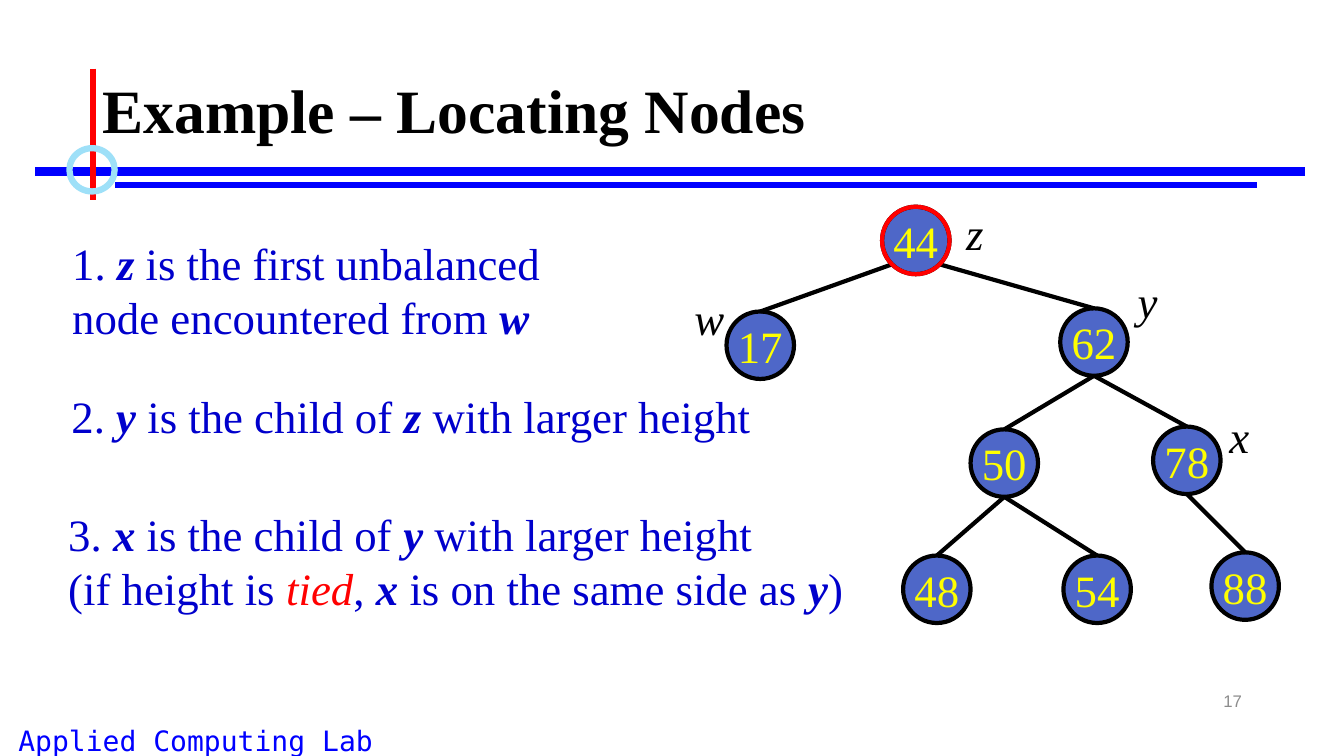
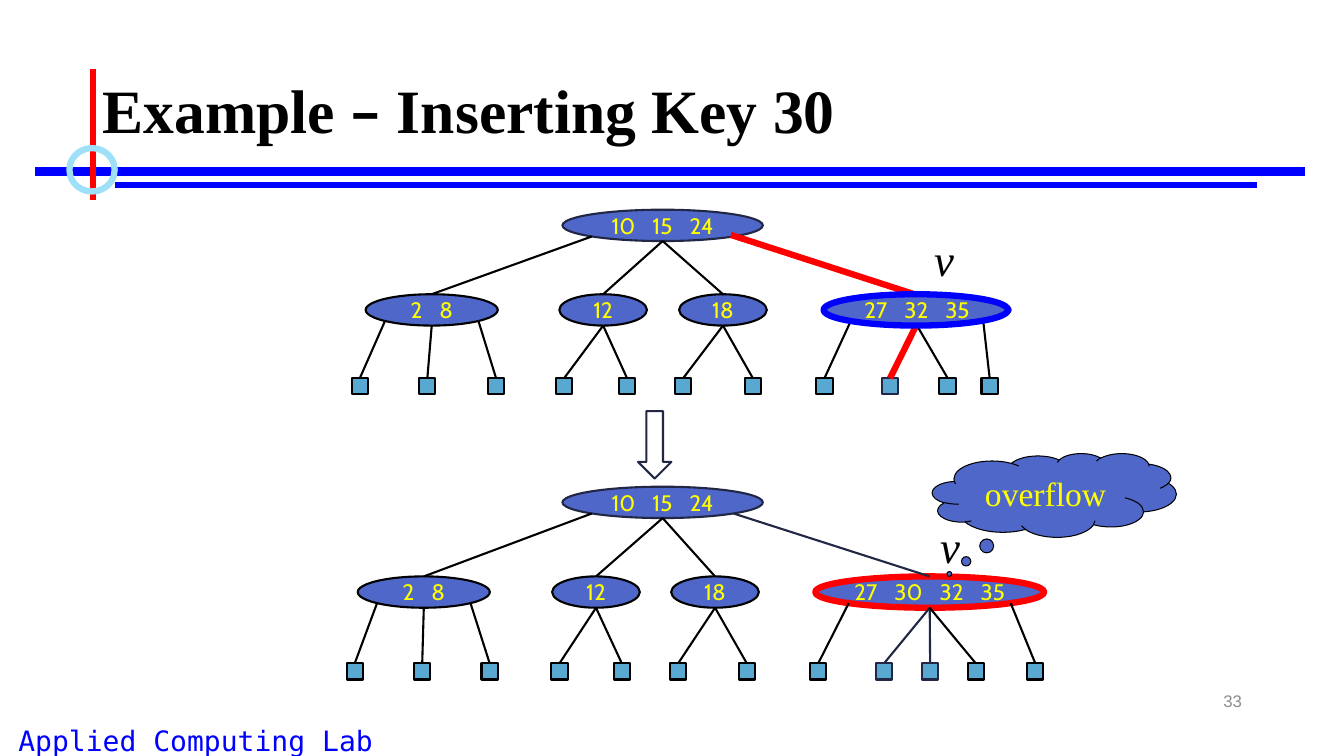
"""Build two slides on balanced search trees: locating nodes and inserting a key."""
import lxml.etree
import pptx
import pptx.dml.color
import pptx.enum.shapes
import pptx.enum.text
import pptx.oxml.ns
import pptx.util

Cm = pptx.util.Cm
color = pptx.dml.color.RGBColor.from_string
SHAPE = pptx.enum.shapes.MSO_SHAPE
ALIGN = pptx.enum.text.PP_ALIGN
MIDDLE = pptx.enum.text.MSO_ANCHOR.MIDDLE
SERIF = "Times New Roman"
BLACK, RED, BLUE, YELLOW = "000000", "FF0000", "0000FF", "FFFF00"
NODE_BLUE, LEAF_BLUE, NAVY, RULE_BLUE = "4E67C8", "59A8D1", "212745", "0000CC"


def draw(shapes, kind, x, y, width, height, fill=None, outline=None, weight=1.5,
         pieces=(), size=32, font=SERIF, ink=YELLOW, italic=False, align=ALIGN.CENTER):
    """Draw a shape, or a text box when kind is None, centred on x and y in cm."""
    box = Cm(x - width / 2), Cm(y - height / 2), Cm(width), Cm(height)
    figure = shapes.add_textbox(*box) if kind is None else shapes.add_shape(kind, *box)
    if kind is not None:
        figure.shadow.inherit = False
    if fill:
        figure.fill.solid()
        figure.fill.fore_color.rgb = color(fill)
    else:
        figure.fill.background()
    if outline:
        figure.line.color.rgb = color(outline)
        figure.line.width = pptx.util.Pt(weight)
    else:
        figure.line.fill.background()
    frame = figure.text_frame
    frame.word_wrap = kind is None
    frame.vertical_anchor = MIDDLE
    if pieces:
        paragraph = frame.paragraphs[0]
        paragraph.alignment = align
        paragraph.font.name = font
        paragraph.font.size = pptx.util.Pt(size)
        paragraph.font.color.rgb = color(ink)
        paragraph.font.italic = italic
        for piece in pieces:
            run = paragraph.add_run()
            run.text = piece
            if piece == " ":
                run.font._element.set("spc", "860")
    return figure


def link(shapes, start, end, ink=BLACK, weight=1.5, target=None):
    """Draw a straight line between two points in cm, joined to the top of target."""
    line = shapes.add_connector(pptx.enum.shapes.MSO_CONNECTOR.STRAIGHT,
                                Cm(start[0]), Cm(start[1]), Cm(end[0]), Cm(end[1]))
    line.line.color.rgb = color(ink)
    line.line.width = pptx.util.Pt(weight)
    lxml.etree.SubElement(line.element.spPr, pptx.oxml.ns.qn("a:effectLst"))
    if target is not None:
        line.end_connect(target, 0)
    return line


deck = pptx.Presentation()
deck.slide_width, deck.slide_height = Cm(33.87), Cm(19.05)
layout = deck.slide_layouts[5]
layout_title, *unused = layout.placeholders
for placeholder in unused:
    placeholder.element.getparent().remove(placeholder.element)
layout_title.left, layout_title.top = Cm(2.33), Cm(1.01)
layout_title.width, layout_title.height = Cm(29.21), Cm(3.69)

slides = []
for heading, dash_font, number in (("Example – Locating Nodes", SERIF, "17"),
                                   ("Example – Inserting Key 30", "Cabin", "33")):
    slide = deck.slides.add_slide(layout)
    slides.append(slide)
    title_frame = slide.shapes.title.text_frame
    title_frame.vertical_anchor = MIDDLE
    title = title_frame.paragraphs[0]
    title.alignment = ALIGN.LEFT
    title.line_spacing = 0.9
    title.font.name = SERIF
    title.font.size = pptx.util.Pt(44)
    title.font.bold = True
    title.font.color.rgb = color(BLACK)
    for part in heading.partition("–"):
        run = title.add_run()
        run.text = part
        if part == "–":
            run.font.name = dash_font
    draw(slide.shapes, None, 27.74, 17.65, 7.62, 1.02, pieces=[number], size=12,
         font="Arial", ink="8C8C8C", align=ALIGN.RIGHT)

locating, inserting = (slide.shapes for slide in slides)

shared = [
    draw(locating, None, 4.93, 18.65, 9.86, 1.09, pieces=["Applied Computing Lab"],
         size=20, font="DejaVu Sans Mono", ink=BLUE),
    link(locating, (0.89, 4.32), (32.89, 4.32), BLUE, 6),
    link(locating, (2.9, 4.67), (31.67, 4.67), BLUE, 4.5),
    link(locating, (2.34, 1.73), (2.34, 5.05), RED, 4.5),
    draw(locating, SHAPE.OVAL, 2.32, 4.28, 1.14, 1.09, outline="9EE0F8", weight=4.5),
]
for part in shared:
    layout.shapes.element.append(part.element)

DIAMETER = 1.7
DIAGONAL = 0.3536
centers = {"44": (23.08, 6.06), "17": (19.16, 8.7), "62": (27.57, 8.62),
           "50": (25.31, 11.67), "78": (29.91, 11.6), "48": (23.61, 14.85),
           "54": (27.65, 14.85), "88": (31.38, 14.77)}
nodes = {key: draw(locating, SHAPE.OVAL, x, y, DIAMETER, DIAMETER, NODE_BLUE, BLACK, 3, [key])
         for key, (x, y) in centers.items()}
for parent, child, side in (("44", "17", -1), ("44", "62", 1), ("62", "50", 0), ("62", "78", 0),
                            ("50", "48", 0), ("50", "54", 0), ("78", "88", 0)):
    x, y = centers[parent]
    drop = DIAGONAL if side else 0.5
    child_x, child_y = centers[child]
    link(locating, (x + side * DIAGONAL * DIAMETER, y + drop * DIAMETER),
         (child_x, child_y - DIAMETER / 2), weight=3, target=nodes[child])
draw(locating, SHAPE.OVAL, *centers["44"], DIAMETER, DIAMETER, outline=RED, weight=3)
for letter, x, y in (("z", 24.61, 5.85), ("w", 17.76, 8.01), ("y", 28.93, 7.58), ("x", 31.24, 10.97)):
    draw(locating, None, x, y, 1.02, 1.6, pieces=[letter], ink=BLACK, italic=True, align=ALIGN.LEFT)

rules = (
    (7.96, 7.29, 12.78, 3, ["1. *z* is the first unbalanced", "node encountered from *w*"]),
    (10.54, 10.46, 17.98, 1.63, ["2. *y* is the child of *z* with larger height"]),
    (13.6, 14.12, 24.26, 3, ["3. *x* is the child of *y* with larger height",
                             "(if height is *tied*, *x* is on the same side as *y*)"]),
)
for x, y, width, height, lines in rules:
    frame = draw(locating, None, x, y, width, height).text_frame
    for index, text in enumerate(lines):
        paragraph = frame.add_paragraph() if index else frame.paragraphs[0]
        paragraph.font.name = SERIF
        paragraph.font.size = pptx.util.Pt(32)
        paragraph.font.color.rgb = color(RULE_BLUE)
        for position, part in enumerate(text.split("*")):
            if part:
                run = paragraph.add_run()
                run.text = part
                if position % 2:
                    run.font.italic = True
                    run.font.bold = part != "tied"
                if part == "tied":
                    run.font.color.rgb = color(RED)

ROOT_X, ROOT_WIDTH, NODE_HEIGHT, LEAF = 16.7, 5.05, 0.79, 0.41
trees = (
    (5.68, 7.81, 9.73, (
        ("2 8", 10.88, 3.33, BLACK, 1.5, (9.07, 10.77, 12.5), ()),
        ("12", 15.2, 2.21, BLACK, 1.5, (14.22, 15.8), ()),
        ("18", 18.22, 2.21, BLACK, 1.5, (17.22, 18.97), ()),
        ("27 32 35", 23.11, 4.72, NAVY, 1.5, (20.78, 22.43, 23.88, 24.94), (1,)))),
    (12.66, 14.92, 16.92, (
        ("2 8", 10.68, 3.33, BLACK, 1.5, (8.94, 10.64, 12.34), ()),
        ("12", 15.02, 2.21, BLACK, 1.5, (14.1, 15.67), ()),
        ("18", 18.02, 2.21, BLACK, 1.5, (17.09, 18.82), ()),
        ("27 30 32 35", 23.43, 5.77, RED, 4.5, (20.62, 22.28, 23.44, 24.59, 26.09), (1, 2)))),
)
for root_y, child_y, leaf_y, children in trees:
    tree = inserting.add_group_shape().shapes
    root = ("10 15 24", ROOT_X, ROOT_WIDTH, NAVY, 1.5, [child[1] for child in children], (3,))
    tops = {}
    for keys, x, width, outline, weight, *_ in (root, *children):
        y = root_y if keys == root[0] else child_y
        tops[x, y] = draw(tree, SHAPE.OVAL, x, y, width, NODE_HEIGHT, NODE_BLUE, outline, weight,
                          keys.replace(" ", "| |").split("|"), 16, "Cabin")
    for keys, x, width, outline, weight, leaves, navy in children:
        for index, leaf_x in enumerate(leaves):
            tops[leaf_x, leaf_y] = draw(tree, SHAPE.RECTANGLE, leaf_x, leaf_y, LEAF, LEAF,
                                        LEAF_BLUE, NAVY if index in navy else BLACK)
    for keys, x, width, outline, weight, branches, navy in (root, *children):
        y, next_y, next_height = ((root_y, child_y, NODE_HEIGHT) if keys == root[0]
                                  else (child_y, leaf_y, LEAF))
        last = len(branches) - 1
        for index, branch_x in enumerate(branches):
            side = (index == last) - (index == 0) if last > 1 else 0
            drop = DIAGONAL if side else 0.5
            link(tree, (x + side * DIAGONAL * width, y + drop * NODE_HEIGHT),
                 (branch_x, next_y - next_height / 2),
                 NAVY if index in navy else BLACK, target=tops[branch_x, next_y])

draw(inserting, SHAPE.DOWN_ARROW, 16.5, 11.21, 0.84, 1.7, outline=NAVY)
link(inserting, (18.42, 5.92), (23.06, 7.42), RED, 4.5)
link(inserting, (23.06, 8.26), (22.43, 9.53), RED, 4.5)
visited = inserting.add_group_shape().shapes
draw(visited, SHAPE.OVAL, 23.08, 7.81, 4.65, NODE_HEIGHT, outline=BLUE, weight=4.5)
for owner, x, y in ((visited, 23.8, 6.52), (inserting, 23.95, 13.75)):
    draw(owner, None, x, y, 1.02, 1.6, pieces=["v"], ink=BLACK, italic=True, align=ALIGN.LEFT)
overflow = draw(inserting, SHAPE.CLOUD_CALLOUT, 26.57, 12.48, 6.15, 2.11, NODE_BLUE, BLACK, 0.75,
                ["overflow"], 24)
overflow.adjustments[0], overflow.adjustments[1] = -0.43, 0.94

deck.save("out.pptx")
